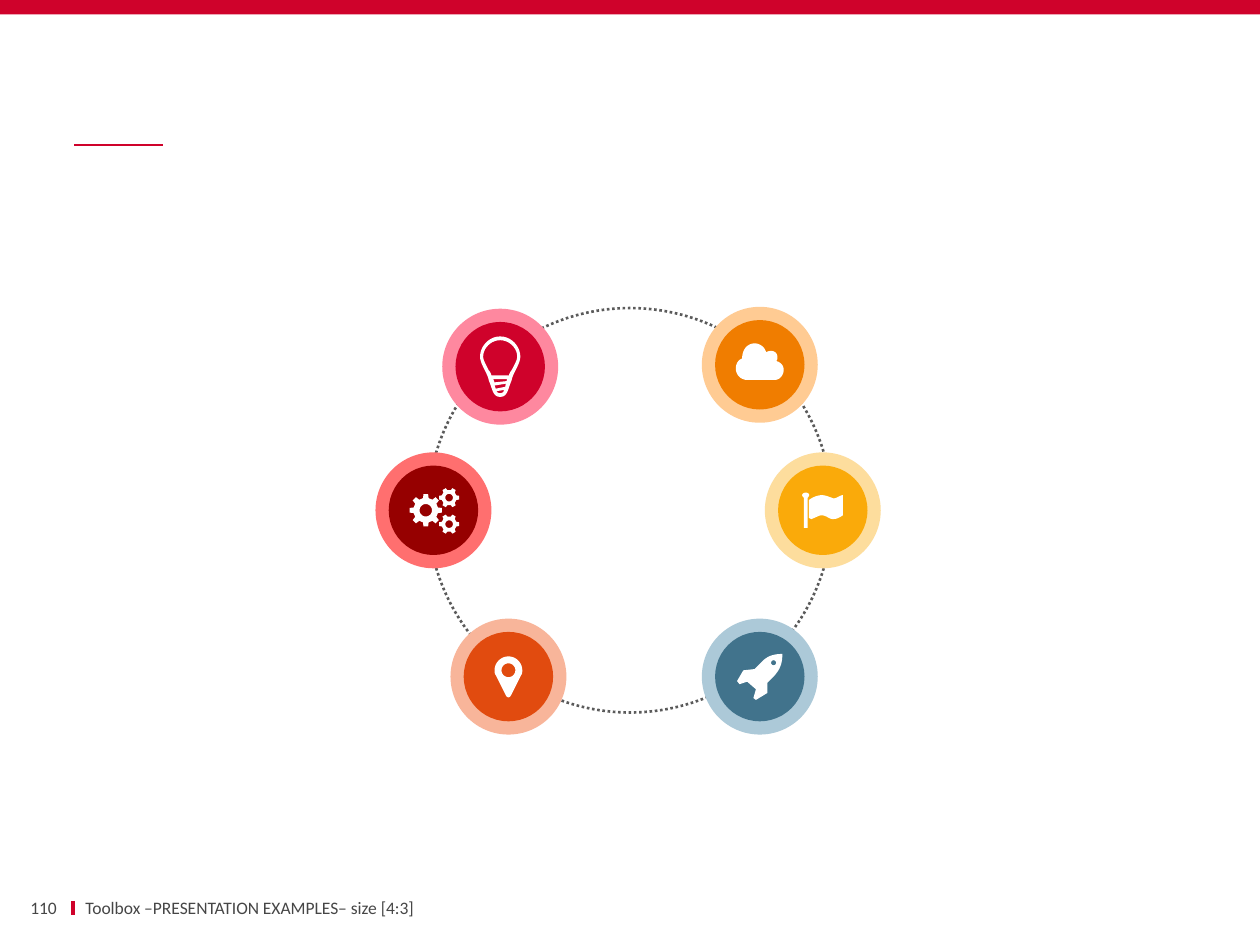
from dataclasses import dataclass
from math import cos, pi, sin

from lxml.etree import SubElement
from pptx import Presentation
from pptx.dml.color import RGBColor
from pptx.enum.dml import MSO_LINE
from pptx.enum.shapes import MSO_CONNECTOR, MSO_SHAPE
from pptx.enum.text import MSO_ANCHOR, PP_ALIGN
from pptx.oxml.ns import qn
from pptx.slide import Slide
from pptx.util import Inches, Pt

COLORS = {
    "red": "CF022B", "pink": "FE889F", "maroon": "960000", "coral": "FF6F6F",
    "rust": "E14B0F", "peach": "F8B59A", "orange": "F07D00", "apricot": "FFCB93",
    "yellow": "FAAA0A", "cream": "FDDD9D", "blue": "41738C", "sky": "ACC9D8",
    "white": "FFFFFF", "dots": "5A5A5A", "text": "464646",
}
RING, DISC = 9.2, 7.1


def color(name):
    """Return the named colour."""
    return RGBColor.from_string(COLORS[name])


def format_text(box, text, size=10, font="Calibri", ink="text", align=PP_ALIGN.LEFT, inset=0.1):
    """Write one formatted line into a box, centred vertically."""
    frame = box.text_frame
    frame.word_wrap = True
    frame.vertical_anchor = MSO_ANCHOR.MIDDLE
    frame.margin_left = frame.margin_right = Inches(inset)
    frame.margin_top = frame.margin_bottom = Inches(0.05)
    para = frame.paragraphs[0]
    para.alignment = align
    span = para.add_run()
    span.text = text
    span.font.size, span.font.name = Pt(size), font
    span.font.color.rgb = color(ink)


def trace(start, *steps, samples=10):
    """Turn line steps (x, y) and cubic steps (six numbers) into points."""
    points = [start]
    for step in steps:
        if len(step) == 2:
            points.append(step)
            continue
        nodes = (points[-1], step[:2], step[2:4], step[4:])
        for t in (n / samples for n in range(1, samples + 1)):
            weights = ((1 - t) ** 3, 3 * t * (1 - t) ** 2, 3 * t * t * (1 - t), t ** 3)
            points.append(tuple(sum(w * node[axis] for w, node in zip(weights, nodes))
                                for axis in (0, 1)))
    return points


def circle(x, y, radius, samples=32):
    """Return the points of a circle."""
    return [(x + radius * cos(2 * pi * n / samples), y + radius * sin(2 * pi * n / samples))
            for n in range(samples)]


def gear(x, y, radius, teeth):
    """Return the outline and the hole of a gear."""
    pitch = 2 * pi / teeth
    profile = ((-0.29, 0.76), (-0.18, 1), (0.18, 1), (0.29, 0.76))
    outline = [(x + radius * reach * cos((n + turn) * pitch),
                y + radius * reach * sin((n + turn) * pitch))
               for n in range(teeth) for turn, reach in profile]
    return [outline, circle(x, y, radius * 0.38)]


BULB = [
    trace((0, -2.4), (-0.9, -2.4, -1.6, -1.6, -1.6, -0.8), (-1.6, -0.2, -1, 0.5, -0.9, 1.1),
          (-0.6, 1.8, -0.6, 2.4, 0, 2.4), (0.6, 2.4, 0.6, 1.8, 0.9, 1.1),
          (1, 0.5, 1.6, -0.2, 1.6, -0.8), (1.6, -1.6, 0.9, -2.4, 0, -2.4)),
    trace((0.7, 0.7), (-0.7, 0.7), (-0.7, 0.6, -0.8, 0.4, -0.9, 0.3),
          (-1.1, -0.1, -1.35, -0.5, -1.35, -0.8), (-1.35, -1.5, -0.7, -2.1, 0, -2.1),
          (0.7, -2.1, 1.35, -1.5, 1.35, -0.8), (1.35, -0.5, 1.1, -0.1, 0.9, 0.3),
          (0.8, 0.4, 0.7, 0.6, 0.7, 0.7)),
    trace((-0.45, 1.25), (-0.55, 1), (0.55, 1), (0.5, 1.15)),
    trace((-0.35, 1.75), (-0.45, 1.5), (0.45, 1.35), (0.4, 1.6)),
    trace((-0.3, 1.95), (0.3, 1.85), (0.3, 2, 0.2, 2.1, 0, 2.1), (-0.1, 2.1, -0.2, 2.1, -0.3, 1.95)),
]
PIN = [
    trace((1, -0.1), (0.2, 1.5), (0.1, 1.7, -0.1, 1.7, -0.2, 1.5), (-1, -0.1),
          (-1.1, -0.2, -1.1, -0.4, -1.1, -0.5), (-1.1, -1.1, -0.6, -1.6, 0, -1.6),
          (0.6, -1.6, 1.1, -1.1, 1.1, -0.5), (1.1, -0.4, 1.1, -0.2, 1, -0.1)),
    circle(0, -0.5, 0.55),
]
ROCKET = [
    trace((1, 0.1), (0.9, 0.2, 0.8, 0.3, 0.6, 0.5), (0.6, 1.3), (-0.3, 1.85), (-0.5, 1.7),
          (-0.3, 1), (-1, 0.4), (-1.6, 0.6), (-1.8, 0.35), (-1.3, -0.5), (-0.4, -0.6),
          (-0.3, -0.7, -0.1, -0.9, 0, -1), (0.5, -1.6, 1, -1.8, 1.8, -1.8),
          (1.8, -1, 1.6, -0.5, 1, 0.1)),
    circle(1.1, -1.1, 0.2),
]
CLOUD = [
    trace((1.2, 1.2), (-1, 1.2), (-1.5, 1.2, -1.9, 0.8, -1.9, 0.3),
          (-1.9, -0.1, -1.7, -0.4, -1.4, -0.5), (-1.4, -1.2, -1, -1.7, -0.4, -1.7),
          (0, -1.7, 0.4, -1.4, 0.5, -1), (0.7, -1.1, 0.8, -1.1, 0.9, -1.1),
          (1.2, -1.1, 1.4, -0.9, 1.4, -0.6), (1.4, -0.5, 1.4, -0.4, 1.3, -0.3),
          (1.7, -0.2, 1.9, 0.1, 1.9, 0.4), (1.9, 0.8, 1.6, 1.2, 1.2, 1.2)),
]
FLAG = [
    trace((-1.2, -1), (-1.2, 1.4), (-1.5, 1.4), (-1.5, -1),
          (-1.75, -1.2, -1.6, -1.4, -1.35, -1.4), (-1.1, -1.4, -0.95, -1.2, -1.2, -1)),
    trace((1.6, 0.4), (1.3, 0.6, 1.1, 0.7, 0.8, 0.7), (0.5, 0.7, 0.3, 0.4, -0.1, 0.4),
          (-0.3, 0.4, -0.6, 0.6, -0.9, 0.7), (-1.1, 0.6), (-1.1, -0.8),
          (-0.9, -1, -0.4, -1.2, -0.1, -1.2), (0.2, -1.2, 0.4, -1.1, 0.7, -1),
          (1, -0.8, 1.3, -1.2, 1.6, -1.2)),
]
GEARS = gear(-0.6, 0, 1.3, 8) + gear(1.25, -1, 0.8, 6) + gear(1.25, 1.1, 0.8, 6)

BADGES = [
    (34.4, 40.5, "maroon", "coral", GEARS),
    (40.35, 53.7, "rust", "peach", PIN),
    (60.3, 28.95, "orange", "apricot", CLOUD),
    (65.3, 40.5, "yellow", "cream", FLAG),
    (60.3, 53.7, "blue", "sky", ROCKET),
    (39.7, 29.1, "red", "pink", BULB),
]


@dataclass
class Painter:
    """Draw styled elements on a page, measured in grid cells."""

    page: Slide
    cell: int

    def spans(self, *cells):
        """Convert cells to slide lengths."""
        return [round(value * self.cell) for value in cells]

    def paint(self, shape, fill=None):
        """Give a shape a flat fill without outline or shadow."""
        shape.shadow.inherit = False
        shape.line.fill.background()
        if fill:
            shape.fill.solid()
            shape.fill.fore_color.rgb = color(fill)
        else:
            shape.fill.background()
        return shape

    def bar(self, left, top, width, height, fill):
        """Draw a filled rectangle."""
        self.paint(self.page.shapes.add_shape(
            MSO_SHAPE.RECTANGLE, *self.spans(left, top, width, height)), fill)

    def disc(self, x, y, size, fill=None):
        """Draw a circle around a centre."""
        return self.paint(self.page.shapes.add_shape(
            MSO_SHAPE.OVAL, *self.spans(x - size / 2, y - size / 2, size, size)), fill)

    def orbit(self, x, y, size, ink, weight):
        """Draw a dotted circle."""
        line = self.disc(x, y, size).line
        line.color.rgb, line.width = color(ink), Pt(weight)
        line.dash_style = MSO_LINE.ROUND_DOT

    def rule(self, x1, y1, x2, y2, ink, weight):
        """Draw a straight line."""
        rule = self.page.shapes.add_connector(MSO_CONNECTOR.STRAIGHT, *self.spans(x1, y1, x2, y2))
        rule.line.color.rgb, rule.line.width = color(ink), Pt(weight)
        SubElement(rule.element.spPr, qn("a:effectLst"))

    def icon(self, x, y, contours, fill="white"):
        """Draw contours around a centre as one outline with holes."""
        placed = [[self.spans(x + dx, y + dy) for dx, dy in contour] for contour in contours]
        builder = self.page.shapes.build_freeform(*placed[0][0])
        for number, contour in enumerate(placed):
            if number:
                builder.move_to(*contour[0])
            builder.add_line_segments(contour[1:], close=True)
        self.paint(builder.convert_to_shape(), fill)

    def badge(self, x, y, core, halo, contours):
        """Draw a two-tone disc with its icon."""
        self.disc(x, y, RING, halo)
        self.disc(x, y, DISC, core)
        self.icon(x, y, contours)

    def label(self, left, top, width, height, text, **style):
        """Add a line of text."""
        format_text(self.page.shapes.add_textbox(*self.spans(left, top, width, height)), text, **style)


def main():
    """Build and save the deck."""
    deck = Presentation()
    deck.slide_width, deck.slide_height = Inches(10), Inches(7.5)
    page = deck.slides.add_slide(deck.slide_layouts[6])
    painter = Painter(page, deck.slide_width // 100)
    painter.rule(5.8, 71.5, 5.8, 72.6, "red", 2.25)
    painter.rule(5.9, 11.5, 12.9, 11.5, "red", 1)
    painter.bar(0, 0, 100, 1.15, "red")
    painter.orbit(50, 40.5, 32.1, "dots", 1.5)
    for badge in BADGES:
        painter.badge(*badge)
    painter.label(1.3, 71.1, 3.2, 1.8, "110", align=PP_ALIGN.RIGHT, inset=0)
    painter.label(5.8, 71.1, 49.7, 1.8, "Toolbox –PRESENTATION EXAMPLES– size [4:3]")
    deck.save("out.pptx")


if __name__ == "__main__":
    main()
